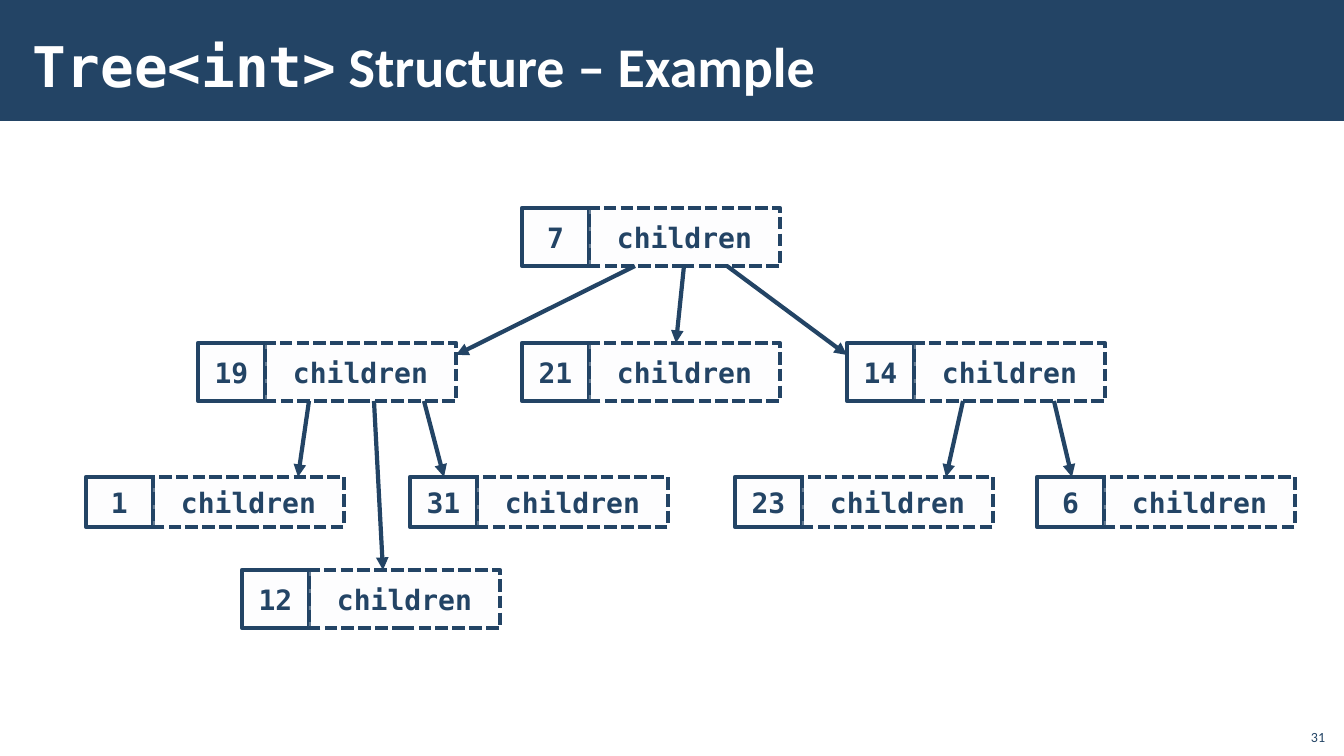
from lxml import etree
from pptx import Presentation
from pptx.dml.color import RGBColor
from pptx.enum.dml import MSO_LINE
from pptx.enum.shapes import MSO_CONNECTOR, MSO_SHAPE
from pptx.enum.text import MSO_ANCHOR, MSO_AUTO_SIZE, PP_ALIGN
from pptx.oxml.ns import qn
from pptx.util import Emu, Pt

RECTANGLE = MSO_SHAPE.RECTANGLE
STRAIGHT = MSO_CONNECTOR.STRAIGHT
DASHED = MSO_LINE.SQUARE_DOT
CENTER, LEFT, RIGHT = PP_ALIGN.CENTER, PP_ALIGN.LEFT, PP_ALIGN.RIGHT
MIDDLE, BOTTOM = MSO_ANCHOR.MIDDLE, MSO_ANCHOR.BOTTOM

COLORS = {"navy": "234465", "node": "FBFBFC", "white": "FFFFFF"}
COLORS = {name: RGBColor.from_string(value) for name, value in COLORS.items()}
BODY_FONT, CODE_FONT = "Calibri", "DejaVu Sans Mono"
LINE_WIDTH = Pt(3)
KEY_WIDTH, CHILDREN_WIDTH = 67, 191


def px(*lengths):
    return [Emu(round(length * 914400 / 100.8)) for length in lengths]


def style_span(span, font, size, color, bold):
    span.font.name = font
    span.font.size = Pt(size)
    span.font.bold = bold
    span.font.color.rgb = COLORS[color]


deck = Presentation()
deck.slide_width, deck.slide_height = px(1344, 756)
page = deck.slides.add_slide(deck.slide_layouts[5])

# Title on its band
title = page.shapes.title
title.left, title.top, title.width, title.height = px(21, 4, 1055, 122)
frame = title.text_frame
frame.auto_size = MSO_AUTO_SIZE.NONE
frame.vertical_anchor = MIDDLE
frame.margin_left, frame.margin_top, frame.margin_right, frame.margin_bottom = px(12, 4, 12, 4)
para = frame.paragraphs[0]
para.alignment = LEFT
for wording, font in (("Tree<int>", CODE_FONT), (" Structure – Example", BODY_FONT)):
    span = para.add_run()
    span.text = wording
    style_span(span, font, 40, "white", True)

band = page.shapes.add_shape(RECTANGLE, *px(0, 0, 1344, 121))
band.shadow.inherit = False
band.fill.solid()
band.fill.fore_color.rgb = COLORS["navy"]
band.line.fill.background()
title.element.addprevious(band.element)

# Tree nodes: a solid key cell and a dashed children cell; value: (left, top, height)
nodes = {
    "7": (522, 208, 58),
    "19": (198, 343, 58), "21": (522, 343, 58), "14": (847, 343, 58),
    "1": (86, 477, 50), "31": (410, 477, 50), "23": (735, 477, 50), "6": (1037, 477, 50),
    "12": (242, 570, 58),
}
for key, (left, top, height) in nodes.items():
    cells = ((key, left, KEY_WIDTH, None),
             ("children", left + KEY_WIDTH, CHILDREN_WIDTH, DASHED))
    for wording, cell_left, width, dash in cells:
        box = page.shapes.add_shape(RECTANGLE, *px(cell_left, top, width, height))
        box.shadow.inherit = False
        box.fill.solid()
        box.fill.fore_color.rgb = COLORS["node"]
        fill_color = box.fill._xPr.find(qn("a:solidFill"))[0]
        etree.SubElement(fill_color, qn("a:alpha"), val="30000")
        box.line.color.rgb = COLORS["navy"]
        box.line.width = LINE_WIDTH
        if dash:
            box.line.dash_style = dash
        frame = box.text_frame
        frame.word_wrap = False
        frame.vertical_anchor = MIDDLE
        frame.text = wording
        para = frame.paragraphs[0]
        para.alignment = CENTER
        style_span(para.runs[0], CODE_FONT, 20, "navy", True)

# Arrows from the bottom of a parent: parent, child, start x, end x, drop below the child's top
arrows = [
    ("7", "19", 635, 456, 12), ("7", "21", 684, 676, 0), ("7", "14", 727, 847, 12),
    ("14", "23", 963, 946, 0), ("14", "6", 1054, 1072, 0),
    ("19", "1", 309, 298, 0), ("19", "12", 374, 383, 0), ("19", "31", 424, 444, 0),
]
for parent, child, start_x, end_x, drop in arrows:
    start_y = nodes[parent][1] + nodes[parent][2]
    end_y = nodes[child][1] + drop
    arrow = page.shapes.add_connector(STRAIGHT, *px(start_x, start_y, end_x, end_y))
    arrow.line.color.rgb = COLORS["navy"]
    arrow.line.width = LINE_WIDTH
    etree.SubElement(arrow.line._get_or_add_ln(), qn("a:tailEnd"), type="triangle")
    etree.SubElement(arrow.element.spPr, qn("a:effectLst"))

# Page number
number = page.shapes.add_textbox(*px(1295, 718, 40, 32))
frame = number.text_frame
frame.word_wrap = True
frame.vertical_anchor = BOTTOM
frame.text = "31"
para = frame.paragraphs[0]
para.alignment = RIGHT
style_span(para.runs[0], BODY_FONT, 10, "navy", False)

deck.save("out.pptx")
